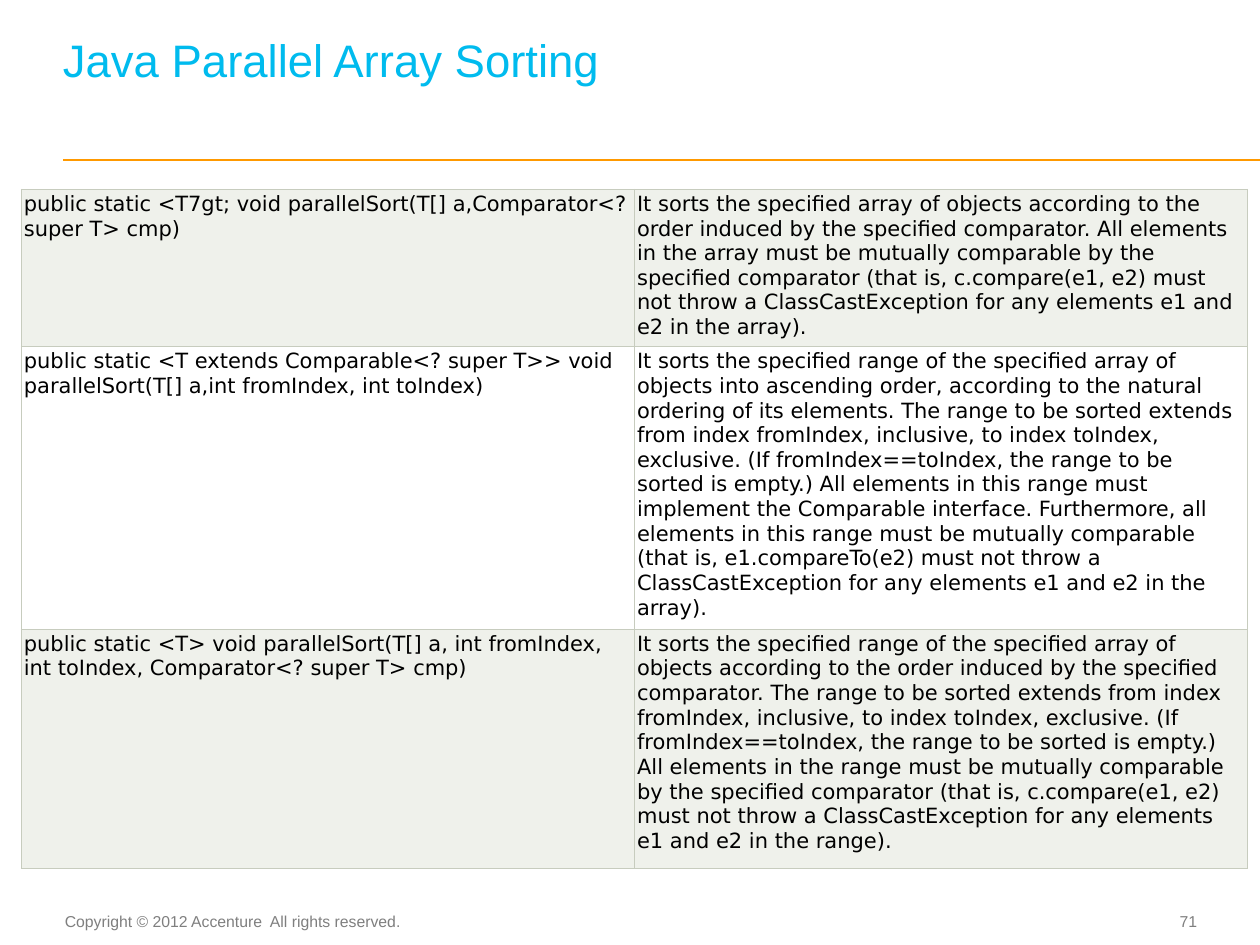
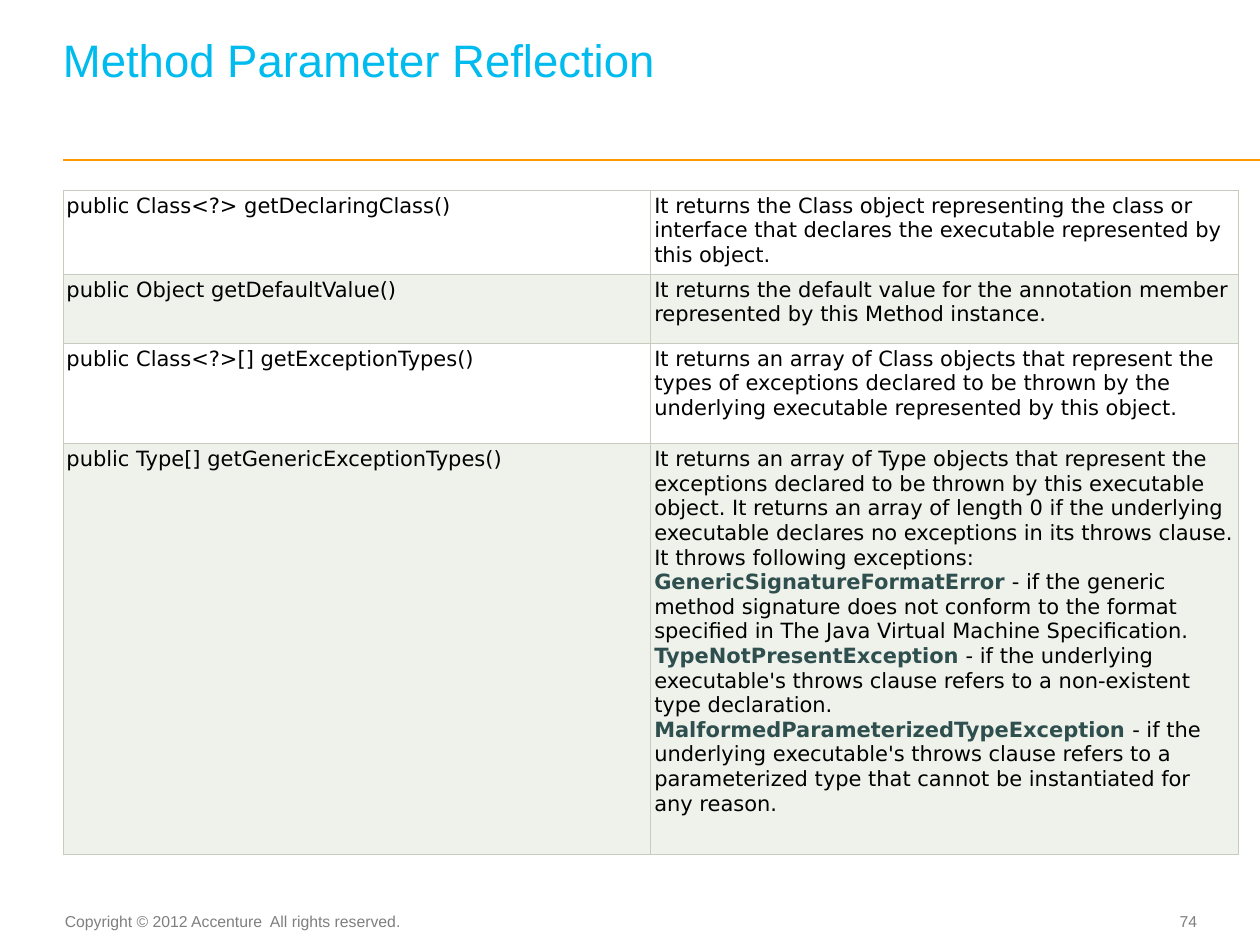
from dataclasses import dataclass

from lxml import etree
from pptx import Presentation
from pptx.dml.color import RGBColor
from pptx.enum.shapes import MSO_CONNECTOR
from pptx.enum.text import MSO_ANCHOR, PP_ALIGN
from pptx.oxml.ns import qn
from pptx.util import Pt

LEFT, CENTER, RIGHT = PP_ALIGN.LEFT, PP_ALIGN.CENTER, PP_ALIGN.RIGHT
TOP, MIDDLE, BOTTOM = MSO_ANCHOR.TOP, MSO_ANCHOR.MIDDLE, MSO_ANCHOR.BOTTOM
STRAIGHT = MSO_CONNECTOR.STRAIGHT

HEADING_FONT, CELL_FONT = "Arial", "DejaVu Sans"
TITLE_BLUE, RULE_ORANGE, FOOTER_GREY = "00BBEE", "FF9900", "7F7F7F"
BLACK, EXCEPTION_TEAL = "000000", "2F4F4F"
BAND, WHITE, BORDER = "EFF1EB", "FFFFFF", "C7CCBE"
BORDER_WIDTH = 0.6
SLIDE_W, SLIDE_H = 720, 540
MARGIN = 36
TITLE_SIZE = 26
COPYRIGHT = "Copyright © 2012 Accenture  All rights reserved."


@dataclass(frozen=True)
class Box:
    """A text frame's place, insets and vertical anchor, in points."""
    left: float
    top: float
    width: float
    height: float
    insets: tuple[float, float, float, float] = (0, 0, 0, 0)
    anchor: MSO_ANCHOR = TOP


@dataclass(frozen=True)
class MethodRow:
    """A method signature and its description; ** encloses exception names."""
    height: float
    signature: str
    description: str


@dataclass(frozen=True)
class MethodSlide:
    """A titled slide holding one table of methods."""
    title: str
    number: int
    left: float
    top: float
    col_width: float
    inset: float
    first_band: int
    rows: tuple[MethodRow, ...]


TITLE_BOX = Box(MARGIN, 13.7, 645.8, 61.9, (0, 0, 0, TITLE_SIZE), BOTTOM)
COPYRIGHT_BOX = Box(35.3, 517.7, 202.3, 18, (0, 3.6, 7.2, 3.6))
NUMBER_BOX = Box(641.5, 517, 42.5, 19.4, anchor=MIDDLE)

SLIDES = (
    MethodSlide("Java Parallel Array Sorting", 71, 12.2, 108.2, 350.4, 1.5, 0, (
        MethodRow(
            90,
            "public static <T7gt; void parallelSort(T[] a,Comparator<? super T> cmp)",
            "It sorts the specified array of objects according to the order induced "
            "by the specified comparator. All elements in the array must be mutually "
            "comparable by the specified comparator (that is, c.compare(e1, e2) must "
            "not throw a ClassCastException for any elements e1 and e2 in the array)."),
        MethodRow(
            152.6,
            "public static <T extends Comparable<? super T>> void "
            "parallelSort(T[] a,int fromIndex, int toIndex)",
            "It sorts the specified range of the specified array of objects into "
            "ascending order, according to the natural ordering of its elements. The "
            "range to be sorted extends from index fromIndex, inclusive, to index "
            "toIndex, exclusive. (If fromIndex==toIndex, the range to be sorted is "
            "empty.) All elements in this range must implement the Comparable "
            "interface. Furthermore, all elements in this range must be mutually "
            "comparable (that is, e1.compareTo(e2) must not throw a "
            "ClassCastException for any elements e1 and e2 in the array)."),
        MethodRow(
            136.8,
            "public static <T> void parallelSort(T[] a, int fromIndex, int toIndex, "
            "Comparator<? super T> cmp)",
            "It sorts the specified range of the specified array of objects according "
            "to the order induced by the specified comparator. The range to be sorted "
            "extends from index fromIndex, inclusive, to index toIndex, exclusive. (If "
            "fromIndex==toIndex, the range to be sorted is empty.) All elements in the "
            "range must be mutually comparable by the specified comparator (that is, "
            "c.compare(e1, e2) must not throw a ClassCastException for any elements e1 "
            "and e2 in the range)."),
    )),
    MethodSlide("Method Parameter Reflection", 74, MARGIN, 108.7, 335.9, 2, 1, (
        MethodRow(
            48,
            "public Class<?> getDeclaringClass()",
            "It returns the Class object representing the class or interface that "
            "declares the executable represented by this object."),
        MethodRow(
            39.5,
            "public Object getDefaultValue()",
            "It returns the default value for the annotation member represented by "
            "this Method instance."),
        MethodRow(
            57.3,
            "public Class<?>[] getExceptionTypes()",
            "It returns an array of Class objects that represent the types of "
            "exceptions declared to be thrown by the underlying executable "
            "represented by this object."),
        MethodRow(
            234.7,
            "public Type[] getGenericExceptionTypes()",
            "It returns an array of Type objects that represent the exceptions "
            "declared to be thrown by this executable object. It returns an array of "
            "length 0 if the underlying executable declares no exceptions in its "
            "throws clause. It throws following exceptions: "
            "**GenericSignatureFormatError** - if the generic method signature does "
            "not conform to the format specified in The Java Virtual Machine "
            "Specification. **TypeNotPresentException** - if the underlying "
            "executable's throws clause refers to a non-existent type declaration. "
            "**MalformedParameterizedTypeException** - if the underlying executable's "
            "throws clause refers to a parameterized type that cannot be instantiated "
            "for any reason."),
    )),
)


def rgb(value: str) -> RGBColor:
    """Turn a hex string into a colour."""
    return RGBColor.from_string(value)


def write(tf, text: str, *, font: str = HEADING_FONT, size: float = 9,
          color: str = FOOTER_GREY, align: PP_ALIGN = LEFT,
          spacing: float | None = None) -> None:
    """Write one paragraph, with the parts between ** marks emphasised."""
    p = tf.paragraphs[0]
    p.alignment = align
    if spacing:
        p.line_spacing = Pt(spacing)
    for i, part in enumerate(text.split("**")):
        r = p.add_run()
        r.text = part
        r.font.name, r.font.size = font, Pt(size)
        r.font.bold = i % 2 == 1
        r.font.color.rgb = rgb(EXCEPTION_TEAL if i % 2 else color)


def add_text(s, box: Box, text: str, **style) -> None:
    """Add a wrapped text box."""
    sp = s.shapes.add_textbox(Pt(box.left), Pt(box.top), Pt(box.width), Pt(box.height))
    tf = sp.text_frame
    tf.word_wrap = True
    tf.vertical_anchor = box.anchor
    (tf.margin_left, tf.margin_top,
     tf.margin_right, tf.margin_bottom) = map(Pt, box.insets)
    write(tf, text, **style)


def add_rule(s) -> None:
    """Draw the line under the title, out to the slide's right edge."""
    line = s.shapes.add_connector(STRAIGHT, Pt(MARGIN), Pt(91.4), Pt(SLIDE_W), Pt(91.4))
    line.line.color.rgb = rgb(RULE_ORANGE)
    line.line.width = Pt(1)
    etree.SubElement(line._element.spPr, qn("a:effectLst"))


def add_borders(cell) -> None:
    """Give a cell thin lines on all four sides."""
    tcPr = cell._tc.get_or_add_tcPr()
    for side in ("lnL", "lnR", "lnT", "lnB"):
        ln = etree.SubElement(tcPr, qn(f"a:{side}"), w=str(Pt(BORDER_WIDTH)))
        fill = etree.SubElement(ln, qn("a:solidFill"))
        etree.SubElement(fill, qn("a:srgbClr"), val=BORDER)


def add_methods(s, page: MethodSlide) -> None:
    """Draw the banded table of signatures and descriptions."""
    height = sum(row.height for row in page.rows)
    table = s.shapes.add_table(len(page.rows), 2, Pt(page.left), Pt(page.top),
                               Pt(2 * page.col_width), Pt(height)).table
    table.first_row = table.horz_banding = False
    for col in table.columns:
        col.width = Pt(page.col_width)
    for i, row in enumerate(page.rows):
        table.rows[i].height = Pt(row.height)
        for j, text in enumerate((row.signature, row.description)):
            cell = table.cell(i, j)
            cell.margin_left = cell.margin_right = Pt(page.inset)
            cell.margin_top = cell.margin_bottom = Pt(page.inset)
            add_borders(cell)
            cell.fill.solid()
            cell.fill.fore_color.rgb = rgb((BAND, WHITE)[(i + page.first_band) % 2])
            write(cell.text_frame, text, font=CELL_FONT, size=12, color=BLACK)


def add_page(prs, page: MethodSlide) -> None:
    """Add one slide with its title, rule, footers and table."""
    s = prs.slides.add_slide(prs.slide_layouts[6])
    add_rule(s)
    add_text(s, COPYRIGHT_BOX, COPYRIGHT, align=CENTER)
    add_text(s, NUMBER_BOX, str(page.number), align=RIGHT)
    add_text(s, TITLE_BOX, page.title, size=TITLE_SIZE, color=TITLE_BLUE,
             spacing=TITLE_SIZE)
    add_methods(s, page)


def main() -> None:
    """Build and save the presentation."""
    prs = Presentation()
    prs.slide_width, prs.slide_height = Pt(SLIDE_W), Pt(SLIDE_H)
    for page in SLIDES:
        add_page(prs, page)
    prs.save("out.pptx")


if __name__ == "__main__":
    main()
